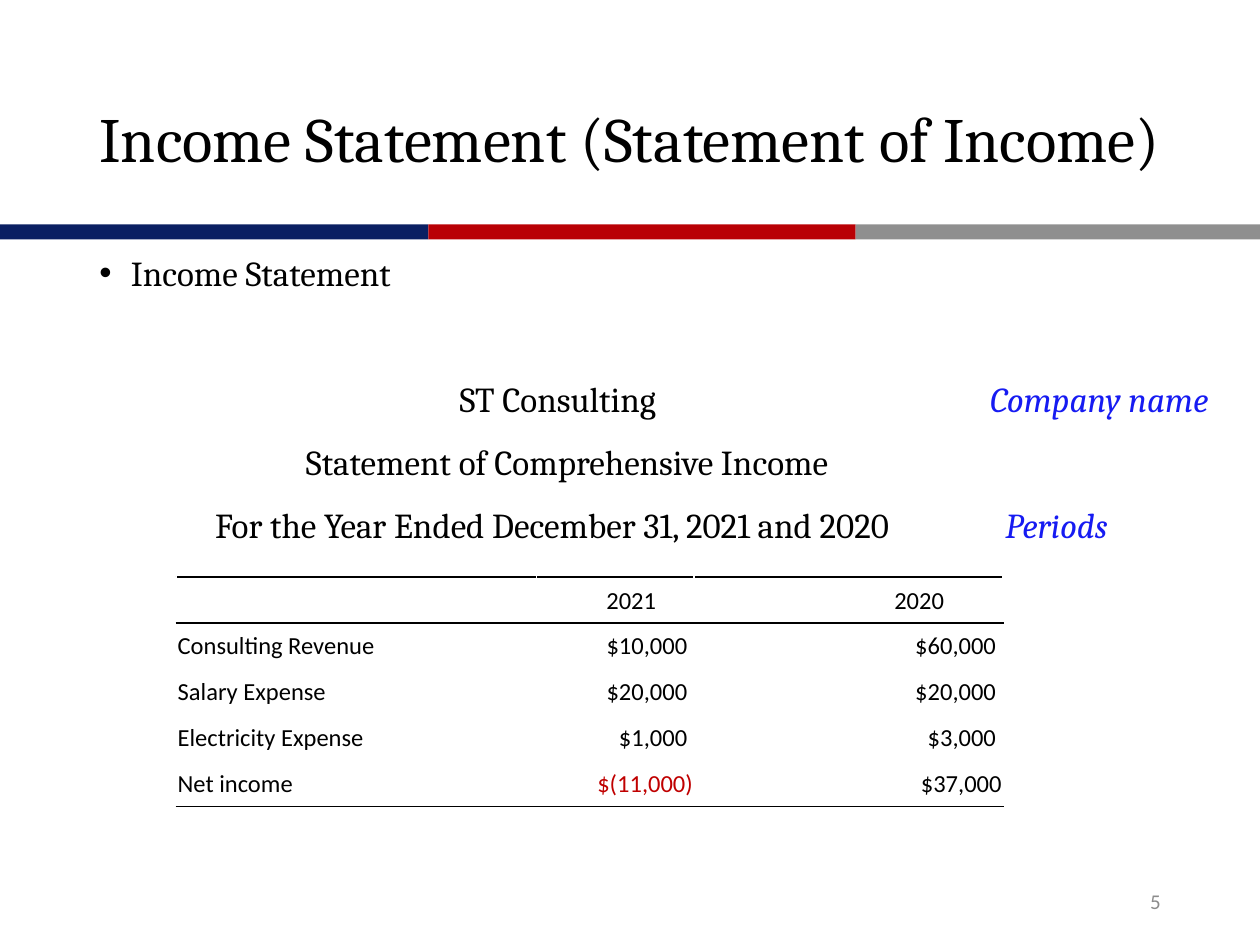
import pptx
import pptx.dml.color
import pptx.enum.shapes
import pptx.enum.text
import pptx.oxml.ns
import pptx.util
from lxml import etree

RGBColor = pptx.dml.color.RGBColor
BLACK = RGBColor(0x00, 0x00, 0x00)
WHITE = RGBColor(0xFF, 0xFF, 0xFF)
NAVY = RGBColor(0x0A, 0x1F, 0x62)
RED = RGBColor(0xB9, 0x00, 0x05)
GRAY = RGBColor(0x8F, 0x8F, 0x8F)
NUMBER_GRAY = RGBColor(0x8C, 0x8C, 0x8C)
NOTE_BLUE = RGBColor(0x16, 0x1B, 0xF2)
LOSS_RED = RGBColor(0xC0, 0x00, 0x00)

ALIGN = pptx.enum.text.PP_ALIGN
MIDDLE = pptx.enum.text.MSO_ANCHOR.MIDDLE
COLUMNS, ROWS = 100, 75


def add_text(paragraph, text, font="Cambria", size=20, color=BLACK, italic=False):
    """Append one formatted run to a paragraph."""
    run = paragraph.add_run()
    run.text = text
    run.font.name = font
    run.font.size = pptx.util.Pt(size)
    run.font.color.rgb = color
    run.font.italic = italic


def add_element(parent, tag, **attributes):
    element = etree.SubElement(parent, pptx.oxml.ns.qn(tag))
    for name, value in attributes.items():
        element.set(name, str(value))
    return element


class StatementSlide:
    """Places elements on a grid of 100 columns and 75 rows."""

    table_font = {"font": "Calibri", "size": 14}

    def __init__(self, presentation):
        self.slide = presentation.slides.add_slide(presentation.slide_layouts[6])
        self.column = presentation.slide_width / COLUMNS
        self.row = presentation.slide_height / ROWS

    def place(self, left, top, width, height):
        return (round(left * self.column), round(top * self.row),
                round(width * self.column), round(height * self.row))

    def bar(self, left, top, width, height, color):
        rectangle = pptx.enum.shapes.MSO_SHAPE.RECTANGLE
        shape = self.slide.shapes.add_shape(rectangle, *self.place(left, top, width, height))
        shape.shadow.inherit = False
        shape.fill.solid()
        shape.fill.fore_color.rgb = color
        shape.line.fill.background()

    def text_box(self, left, top, width, height, anchor=pptx.enum.text.MSO_ANCHOR.TOP):
        shape = self.slide.shapes.add_textbox(*self.place(left, top, width, height))
        shape.text_frame.word_wrap = True
        shape.text_frame.vertical_anchor = anchor
        return shape.text_frame

    def body_paragraph(self, paragraph, before):
        paragraph.line_spacing = pptx.util.Pt(20)
        paragraph.space_before = pptx.util.Pt(before)
        paragraph.space_after = pptx.util.Pt(6)
        return paragraph._p.get_or_add_pPr()

    def bullet(self, paragraph, text):
        properties = self.body_paragraph(paragraph, 0)
        indent = pptx.util.Inches(0.25)
        properties.set("marL", str(indent))
        properties.set("indent", str(-indent))
        add_element(properties, "a:buFont", typeface="Arial")
        add_element(properties, "a:buChar", char="•")
        add_text(paragraph, text)

    def heading(self, paragraph, before, start, text, note_start=None, note=None):
        """A heading line at one tab stop, with an optional note at a second."""
        properties = self.body_paragraph(paragraph, before)
        add_element(properties, "a:buNone")
        tabs = add_element(properties, "a:tabLst")
        for position in (start, note_start):
            if position:
                add_element(tabs, "a:tab", pos=round(position * self.column), algn="l")
        add_text(paragraph, "\t" + text)
        if note:
            add_text(paragraph, "\t" + note, color=NOTE_BLUE, italic=True)

    def cell(self, cell, text, align, left=0.1, right=0.1, color=BLACK):
        cell.fill.background()
        cell.vertical_anchor = MIDDLE
        cell.margin_left = round(left * self.column)
        cell.margin_right = round(right * self.column)
        cell.margin_top = round(0.1 * self.row)
        cell.margin_bottom = 0
        paragraph = cell.text_frame.paragraphs[0]
        paragraph.alignment = align
        paragraph.font.size = pptx.util.Pt(self.table_font["size"])
        if text:
            add_text(paragraph, text, color=color, **self.table_font)

    def borders(self, cell, top, bottom):
        properties = cell._tc.get_or_add_tcPr()
        edges = (("a:lnL", WHITE), ("a:lnR", WHITE), ("a:lnT", top), ("a:lnB", bottom))
        for position, (tag, color) in enumerate(edges):
            line = add_element(properties, tag, w=pptx.util.Pt(1))
            fill = add_element(line, "a:solidFill")
            add_element(fill, "a:srgbClr", val=color)
            properties.insert(position, line)

    def statement_table(self, left, top, widths, row_height, rows):
        frame = self.slide.shapes.add_table(
            len(rows), len(widths),
            *self.place(left, top, sum(widths), row_height * len(rows)))
        table = frame.table
        table.first_row = table.horz_banding = False
        for column, width in zip(table.columns, widths):
            column.width = round(width * self.column)
        header_margins = (0.1, 2.6, 11.3)
        last = len(rows) - 1
        for row_index, values in enumerate(rows):
            table.rows[row_index].height = round(row_height * self.row)
            for column_index, value in enumerate(values):
                cell = table.cell(row_index, column_index)
                if row_index == 0:
                    self.cell(cell, value, ALIGN.CENTER, left=header_margins[column_index])
                elif column_index == 0:
                    self.cell(cell, value, ALIGN.LEFT)
                else:
                    self.cell(cell, value, ALIGN.RIGHT,
                              right=0.1 if row_index == last else 0.55,
                              color=LOSS_RED if "(" in value else BLACK)
                self.borders(cell, BLACK if row_index < 2 else WHITE,
                             BLACK if row_index in (0, last) else WHITE)


def main():
    presentation = pptx.Presentation()
    presentation.slide_width = pptx.util.Inches(10)
    presentation.slide_height = pptx.util.Inches(7.5)
    page = StatementSlide(presentation)

    # Three-colour divider
    for left, right, color in ((0, 34, NAVY), (34, 67.9, RED), (67.9, COLUMNS, GRAY)):
        page.bar(left, 17.8, right - left, 1.2, color)

    # Title
    title = page.text_box(6.9, 4, 92, 14.5, MIDDLE).paragraphs[0]
    title.line_spacing = 0.9
    add_text(title, "Income Statement (Statement of Income)", size=36)

    # Bullet and statement heading
    body = page.text_box(6.9, 20, 92, 47.6)
    page.bullet(body.paragraphs[0], "Income Statement")
    headings = (
        (46, 28.6, "ST Consulting", 70.7, "Company name"),
        (10, 16.4, "Statement of Comprehensive Income"),
        (10, 9.2, "For the Year Ended December 31, 2021 and 2020", 71.9, "Periods"),
    )
    for heading in headings:
        page.heading(body.add_paragraph(), *heading)

    # Income figures
    page.statement_table(14, 45.8, (28.6, 12.5, 24.5), 3.64, (
        ("", "2021", "2020"),
        ("Consulting Revenue", "$10,000", "$60,000"),
        ("Salary Expense", "$20,000", "$20,000"),
        ("Electricity Expense", "$1,000", "$3,000"),
        ("Net income", "$(11,000)", "$37,000"),
    ))

    # Slide number
    number = page.text_box(70.6, 69.5, 22.5, 4, MIDDLE).paragraphs[0]
    number.alignment = ALIGN.RIGHT
    add_text(number, "5", font="Calibri", size=12, color=NUMBER_GRAY)

    presentation.save("out.pptx")


if __name__ == "__main__":
    main()
